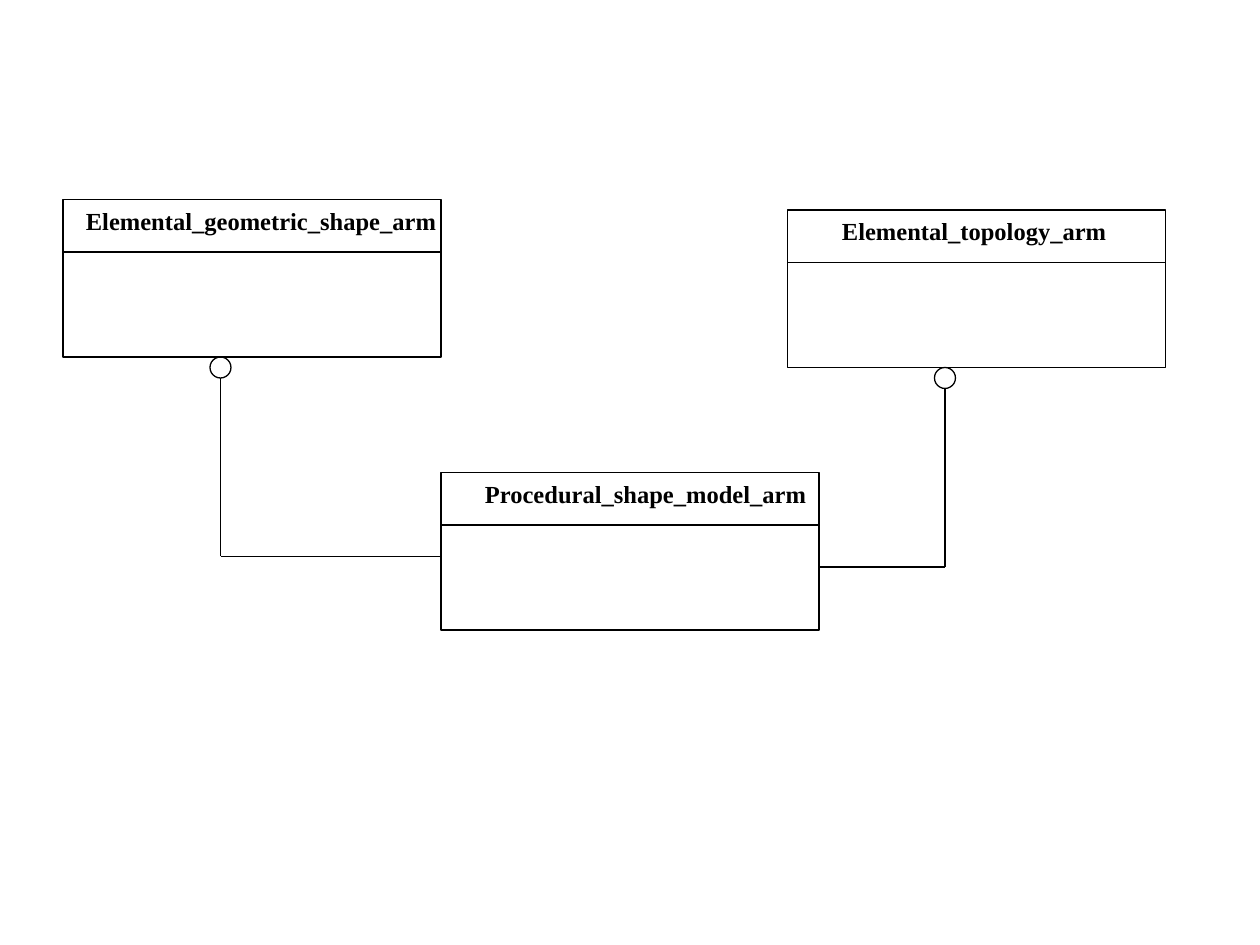
"""Build a schema diagram with three entity boxes and two circle-ended links."""
from lxml.etree import SubElement
from pptx import Presentation
from pptx.dml.color import RGBColor
from pptx.enum.shapes import MSO_CONNECTOR, MSO_SHAPE
from pptx.enum.text import MSO_AUTO_SIZE
from pptx.oxml.ns import qn
from pptx.util import Pt

PX = 9525
COLORS = {"ink": "000000"}
INK = RGBColor.from_string(COLORS["ink"])
BOX_W, BOX_H, HEAD_H, DOT = 288, 120, 40, 16
LABEL_H = 33
FONT = {"name": "Times New Roman", "size": Pt(14), "bold": True}


def add_outline(s, kind, x, y, w, h):
    sp = s.shapes.add_shape(kind, x * PX, y * PX, w * PX, h * PX)
    sp.shadow.inherit = False
    sp.fill.background()
    sp.line.color.rgb = INK
    sp.line.width = Pt(0.75)


def add_line(s, x1, y1, x2, y2):
    ln = s.shapes.add_connector(MSO_CONNECTOR.STRAIGHT, x1 * PX, y1 * PX, x2 * PX, y2 * PX)
    ln.line.color.rgb = INK
    ln.line.width = Pt(0.75)
    SubElement(ln._element.spPr, qn("a:effectLst"))


prs = Presentation()
prs.slide_width, prs.slide_height = 960 * PX, 720 * PX
s = prs.slides.add_slide(prs.slide_layouts[6])

entities = [
    ("Procedural_shape_model_arm", 336, 360, 360, 264),
    ("Elemental_geometric_shape_arm", 48, 152, 56, 288),
    ("Elemental_topology_arm", 600, 160, 632, 221),
]
for name, x, y, label_x, label_w in entities:
    add_outline(s, MSO_SHAPE.RECTANGLE, x, y, BOX_W, BOX_H)
    add_line(s, x, y + HEAD_H, x + BOX_W, y + HEAD_H)
    tb = s.shapes.add_textbox(label_x * PX, y * PX, label_w * PX, LABEL_H * PX)
    tf = tb.text_frame
    tf.word_wrap = False
    tf.auto_size = MSO_AUTO_SIZE.SHAPE_TO_FIT_TEXT
    r = tf.paragraphs[0].add_run()
    r.text = name
    for key, value in FONT.items():
        setattr(r.font, key, value)
    r.font.color.rgb = INK

links = [(168, 272, 424, 336), (720, 280, 432, 624)]
for x, top, bend_y, end_x in links:
    add_outline(s, MSO_SHAPE.OVAL, x - DOT // 2, top, DOT, DOT)
    add_line(s, x, top + DOT, x, bend_y)
    add_line(s, x, bend_y, end_x, bend_y)

prs.save("out.pptx")
